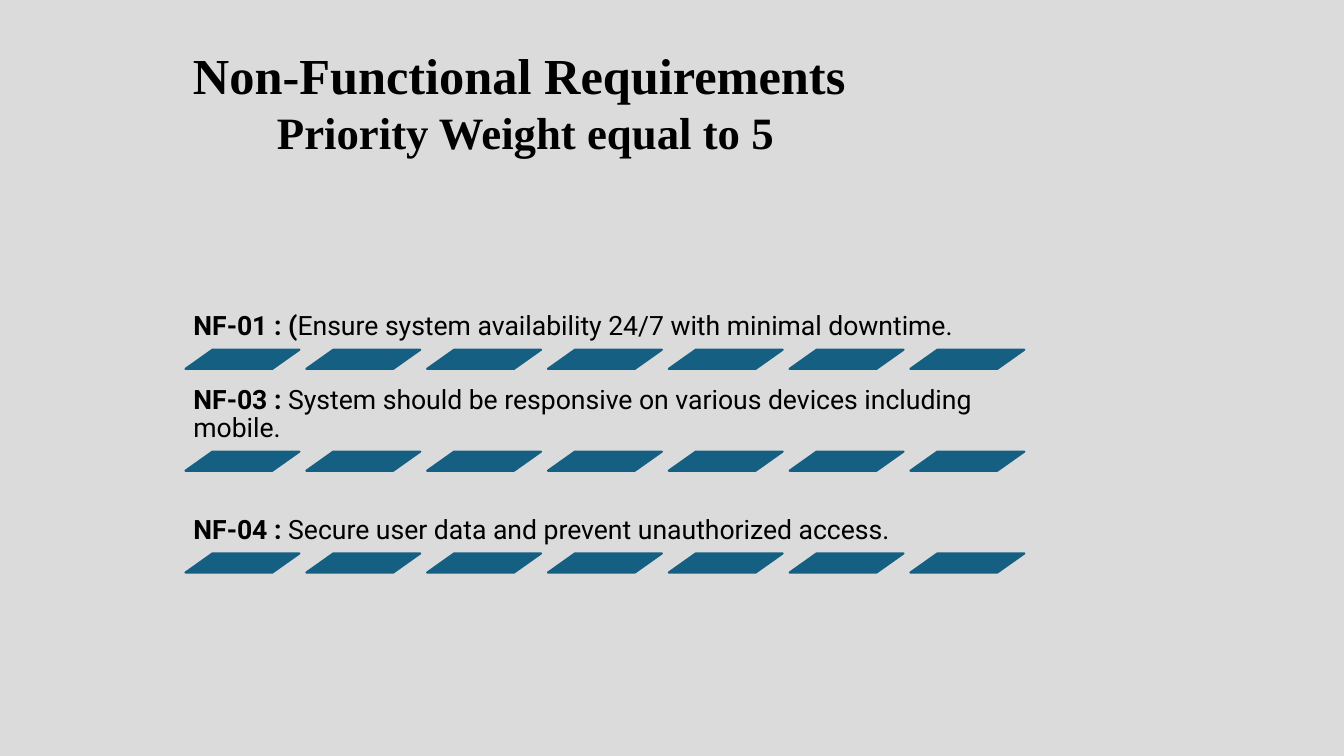
from pptx import Presentation
from pptx.dml.color import RGBColor
from pptx.enum.shapes import MSO_SHAPE
from pptx.enum.text import MSO_ANCHOR, MSO_AUTO_SIZE, PP_ALIGN
from pptx.util import Pt

BACKGROUND = RGBColor(0xDB, 0xDB, 0xDB)
INK = RGBColor(0, 0, 0)
TEAL = RGBColor(0x15, 0x60, 0x82)

REQUIREMENTS = [
    ("NF-01 : (", "Ensure system availability 24/7 with minimal downtime."),
    ("NF-03 : ", "System should be responsive on various devices including mobile."),
    ("NF-04 : ", "Secure user data and prevent unauthorized access."),
]
ROW_LEFT, ROW_TOP, ROW_PITCH = 132.5, 194.4, 72.75
ROW_WIDTH, ROW_HEIGHT = 611.3, 55.4
DASH_COUNT, DASH_PITCH = 7, 86.3
DASH_WIDTH, DASH_HEIGHT = 81.4, 13.7


def add_run(paragraph, text, *, font, size, bold=False, color=INK):
    run = paragraph.add_run()
    run.text = text
    run.font.name = font
    run.font.size = Pt(size)
    run.font.bold = bold
    run.font.color.rgb = color


class RequirementsSlide:
    heading_font = "Times New Roman"
    body_font = "Roboto"
    body_size = 19

    def __init__(self, presentation):
        self.slide = presentation.slides.add_slide(presentation.slide_layouts[6])
        fill = self.slide.background.fill
        fill.solid()
        fill.fore_color.rgb = BACKGROUND

    def text_frame(self, left, top, width, height):
        box = self.slide.shapes.add_textbox(Pt(left), Pt(top), Pt(width), Pt(height))
        box.text_frame.word_wrap = True
        return box.text_frame

    def heading(self, lines):
        """Centre (text, size) lines in the heading box."""
        frame = self.text_frame(125.3, 28.1, 500.4, 123.8)
        frame.auto_size = MSO_AUTO_SIZE.SHAPE_TO_FIT_TEXT
        for index, (text, size) in enumerate(lines):
            paragraph = frame.add_paragraph() if index else frame.paragraphs[0]
            paragraph.alignment = PP_ALIGN.CENTER
            add_run(paragraph, text, font=self.heading_font, size=size, bold=True)

    def requirement(self, top, label, description):
        frame = self.text_frame(ROW_LEFT, top, ROW_WIDTH, ROW_HEIGHT)
        frame.vertical_anchor = MSO_ANCHOR.BOTTOM
        frame.margin_left = frame.margin_right = Pt(5.7)
        frame.margin_top = frame.margin_bottom = Pt(5.7)
        paragraph = frame.paragraphs[0]
        paragraph.line_spacing = 0.9
        for text, bold in ((label, True), (description, False)):
            add_run(paragraph, text, font=self.body_font, size=self.body_size, bold=bold)

    def dashes(self, top):
        for column in range(DASH_COUNT):
            dash = self.slide.shapes.add_shape(
                MSO_SHAPE.PARALLELOGRAM, Pt(ROW_LEFT + column * DASH_PITCH), Pt(top),
                Pt(DASH_WIDTH), Pt(DASH_HEIGHT))
            dash.adjustments[0] = 1.41
            dash.shadow.inherit = False
            dash.fill.solid()
            dash.fill.fore_color.rgb = TEAL
            dash.line.color.rgb = TEAL
            dash.line.width = Pt(1.5)


def main():
    presentation = Presentation()
    presentation.slide_width, presentation.slide_height = Pt(960), Pt(540)
    page = RequirementsSlide(presentation)
    page.heading([("Non-Functional Requirements ", 36),
                  ("Priority Weight equal to 5", 32)])
    for row, (label, description) in enumerate(REQUIREMENTS):
        top = ROW_TOP + row * ROW_PITCH
        page.requirement(top, label, description)
        page.dashes(top + ROW_HEIGHT)
    presentation.save("out.pptx")


if __name__ == "__main__":
    main()
